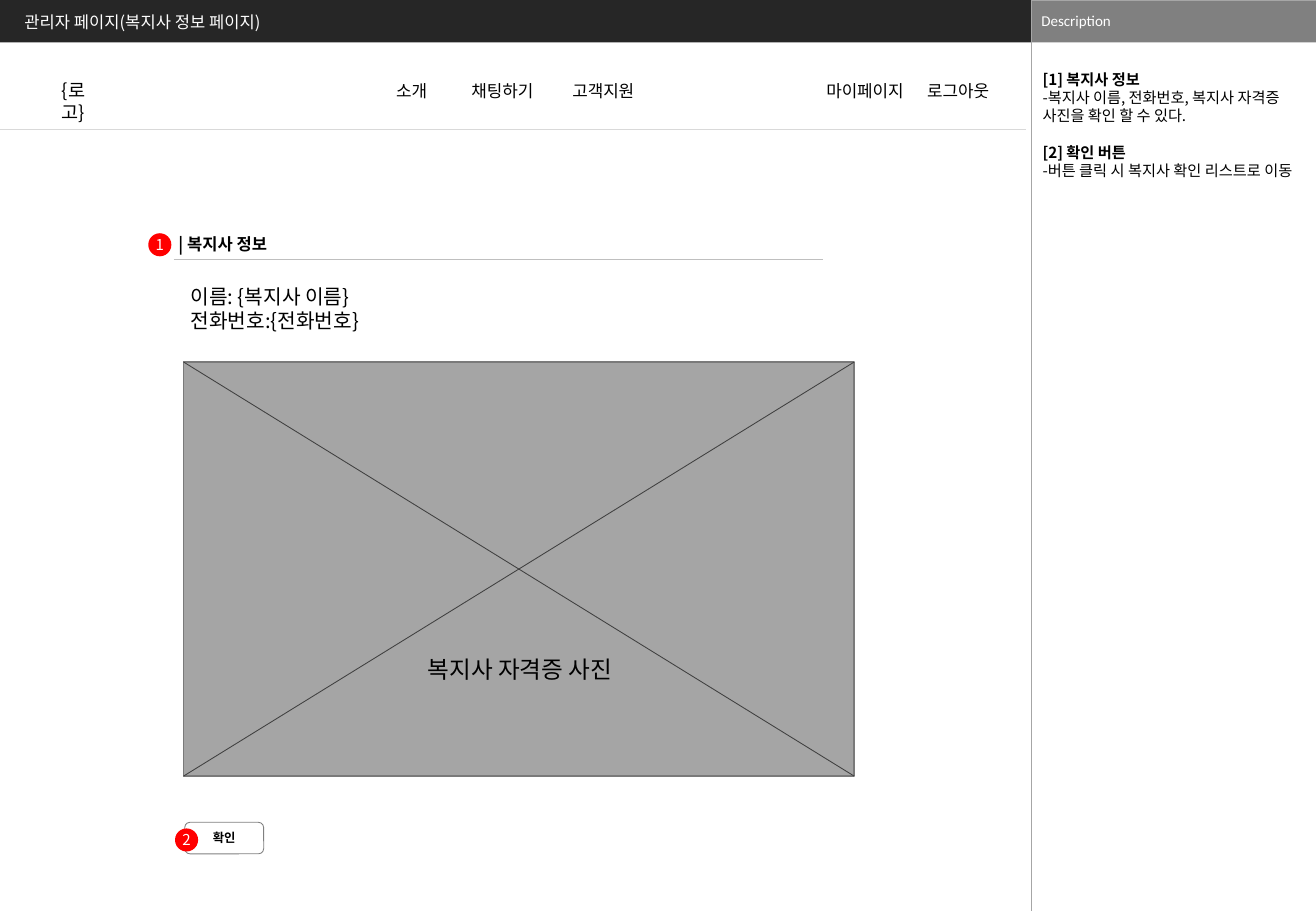
from dataclasses import dataclass

from lxml import etree
from pptx import Presentation
from pptx import util as u
from pptx.dml import color
from pptx.enum import shapes, text
from pptx.oxml import ns

# Grid: ten columns and ten rows to the inch
COLS, ROWS = 108.3, 75
CELL = u.Inches(0.1)
PAGE_W = 84.9
BAR_H = 3.5
BADGE = 1.9
NAV_CHAR_W, NAV_SLACK = 1.55, 0.3


@dataclass(frozen=True)
class Theme:
    font: str = "Noto Sans CJK KR"
    latin: str = "Calibri"
    ink: str = "000000"
    white: str = "FFFFFF"
    bar: str = "262626"
    grey: str = "808080"
    panel: str = "A6A6A6"
    rule: str = "BFBFBF"
    nav_rule: str = "D9D9D9"
    photo: str = "A5A5A5"
    photo_edge: str = "7A7A7A"
    cross: str = "404040"
    badge: str = "FF0000"
    button_size: float = 7.3
    badge_size: float = 8.9
    note_size: float = 9
    title_size: float = 9.8
    nav_size: float = 10
    logo_size: float = 11
    info_size: float = 12
    photo_size: float = 14
    leading: float = 1.2


T = Theme()


@dataclass(frozen=True)
class Box:
    x: float
    y: float
    w: float
    h: float

    def emu(self) -> list[int]:
        return [round(v * CELL) for v in (self.x, self.y, self.w, self.h)]


@dataclass(frozen=True)
class Style:
    size: float
    color: str = T.ink
    bold: bool = False
    font: str = T.font
    before: float = 0
    center: bool = False


@dataclass(frozen=True)
class Label:
    box: Box
    lines: tuple[str, ...]
    styles: tuple[Style, ...]
    inset: tuple[float, float] = (1, 0.5)
    wrap: bool = True
    middle: bool = False


@dataclass(frozen=True)
class Rule:
    start: tuple[float, float]
    end: tuple[float, float]
    color: str
    width: float = 0.5


def rgb(value: str) -> color.RGBColor:
    return color.RGBColor.from_string(value)


def write(sp, label: Label) -> None:
    tf = sp.text_frame
    tf.word_wrap = label.wrap
    tf.vertical_anchor = text.MSO_ANCHOR.MIDDLE if label.middle else text.MSO_ANCHOR.TOP
    tf.margin_left = tf.margin_right = round(label.inset[0] * CELL)
    tf.margin_top = tf.margin_bottom = round(label.inset[1] * CELL)
    for i, line in enumerate(label.lines):
        st = label.styles[i % len(label.styles)]
        p = tf.add_paragraph() if i else tf.paragraphs[0]
        p.add_run().text = line
        p.alignment = text.PP_ALIGN.CENTER if st.center else text.PP_ALIGN.LEFT
        p.line_spacing = u.Pt(round(st.size * T.leading, 1))
        p.space_before = u.Pt(st.before if i else 0)
        f = p.font
        f.name, f.size, f.bold = st.font, u.Pt(st.size), st.bold
        f.color.rgb = rgb(st.color)
        props = p._p.pPr.find(ns.qn("a:defRPr"))
        etree.SubElement(props, ns.qn("a:ea")).set("typeface", st.font)


def add_label(slide, label: Label) -> None:
    write(slide.shapes.add_textbox(*label.box.emu()), label)


def add_shape(slide, kind, box: Box, fill: str = "", line: str = "", width: float = 0.5):
    sp = slide.shapes.add_shape(kind, *box.emu())
    sp.shadow.inherit = False
    if fill:
        sp.fill.solid()
        sp.fill.fore_color.rgb = rgb(fill)
    else:
        sp.fill.background()
    if line:
        sp.line.color.rgb = rgb(line)
        sp.line.width = u.Pt(width)
    else:
        sp.line.fill.background()
    return sp


def add_rule(slide, rule: Rule) -> None:
    ends = [round(v * CELL) for v in rule.start + rule.end]
    c = slide.shapes.add_connector(shapes.MSO_CONNECTOR.STRAIGHT, *ends)
    c.line.color.rgb = rgb(rule.color)
    c.line.width = u.Pt(rule.width)
    etree.SubElement(c._element.spPr, ns.qn("a:effectLst"))


def add_badge(slide, number: str, x: float, y: float) -> None:
    box = Box(x, y, BADGE, BADGE)
    sp = add_shape(slide, shapes.MSO_SHAPE.OVAL, box, T.badge)
    style = Style(T.badge_size, T.white, center=True)
    write(sp, Label(box, (number,), (style,), (0, 0), False, True))


def main() -> None:
    prs = Presentation()
    prs.slide_width, prs.slide_height = round(COLS * CELL), ROWS * CELL
    s = prs.slides.add_slide(prs.slide_layouts[6])
    rect = shapes.MSO_SHAPE.RECTANGLE
    side_w = COLS - PAGE_W

    # Header bars and description panel
    add_shape(s, rect, Box(0, 0, PAGE_W, BAR_H), T.bar)
    add_shape(s, rect, Box(PAGE_W, 0, side_w, BAR_H), T.grey)
    add_rule(s, Rule((PAGE_W, 0), (PAGE_W, BAR_H), T.white, 0.25))
    add_shape(s, rect, Box(PAGE_W, 0, side_w, ROWS), "", T.panel, 0.25)
    add_label(s, Label(Box(PAGE_W, -0.1, side_w, BAR_H), ("Description",),
                       (Style(T.badge_size, T.white, font=T.latin),), (0.8, 0.4), middle=True))
    add_label(s, Label(Box(1.2, 0.4, 67, 2.8), ("관리자 페이지(복지사 정보 페이지)",),
                       (Style(T.title_size, T.white),), (0.8, 0.4), middle=True))

    # Description notes
    notes = ("[1] 복지사 정보", "-복지사 이름, 전화번호, 복지사 자격증 사진을 확인 할 수 있다.",
             "[2] 확인 버튼", "-버튼 클릭 시 복지사 확인 리스트로 이동")
    heading = Style(T.note_size, bold=True, before=T.note_size * T.leading)
    add_label(s, Label(Box(85.5, 5.8, 22.3, 54), notes,
                       (heading, Style(T.note_size)), (0.3, 0)))

    # Logo and navigation
    add_label(s, Label(Box(4.1, 6, 5.8, 4.7), ("{로고}",), (Style(T.logo_size),)))
    nav = (("소개", 32.6), ("채팅하기", 38.8), ("고객지원", 47.1),
           ("마이페이지", 68), ("로그아웃", 76.3))
    for name, x in nav:
        box = Box(x, 6.15, len(name) * NAV_CHAR_W + NAV_SLACK, 2.7)
        add_label(s, Label(box, (name,), (Style(T.nav_size),), (0, 0.5)))
    add_rule(s, Rule((0, 10.65), (84.4, 10.65), T.nav_rule))

    # Welfare worker details
    add_rule(s, Rule((14.3, 21.4), (67.7, 21.4), T.rule))
    add_label(s, Label(Box(13.7, 18.8, 15.3, 2.7), ("| 복지사 정보",),
                       (Style(T.title_size, bold=True),)))
    add_badge(s, "1", 12.2, 19.2)
    add_label(s, Label(Box(14.7, 22.9, 20.5, 7.1), ("이름: {복지사 이름}", "전화번호:{전화번호}"),
                       (Style(T.info_size),)))

    # Certificate photo frame
    photo = Box(15.1, 29.8, 55.2, 34.1)
    right, bottom = photo.x + photo.w, photo.y + photo.h
    add_shape(s, rect, photo, T.photo, T.photo_edge, 1)
    add_rule(s, Rule((right, photo.y), (photo.x, bottom), T.cross))
    add_rule(s, Rule((photo.x, photo.y), (right, bottom), T.cross))
    add_label(s, Label(Box(34.2, 53.4, 25.2, 3.4), ("복지사 자격증 사진",),
                       (Style(T.photo_size),)))

    # Confirm button
    button = Box(15.2, 67.7, 6.5, 2.6)
    sp = add_shape(s, shapes.MSO_SHAPE.ROUNDED_RECTANGLE, button, "", T.grey)
    write(sp, Label(button, ("확인",), (Style(T.button_size, bold=True, center=True),), middle=True))
    add_badge(s, "2", 14.4, 68.2)

    prs.save("out.pptx")


if __name__ == "__main__":
    main()
